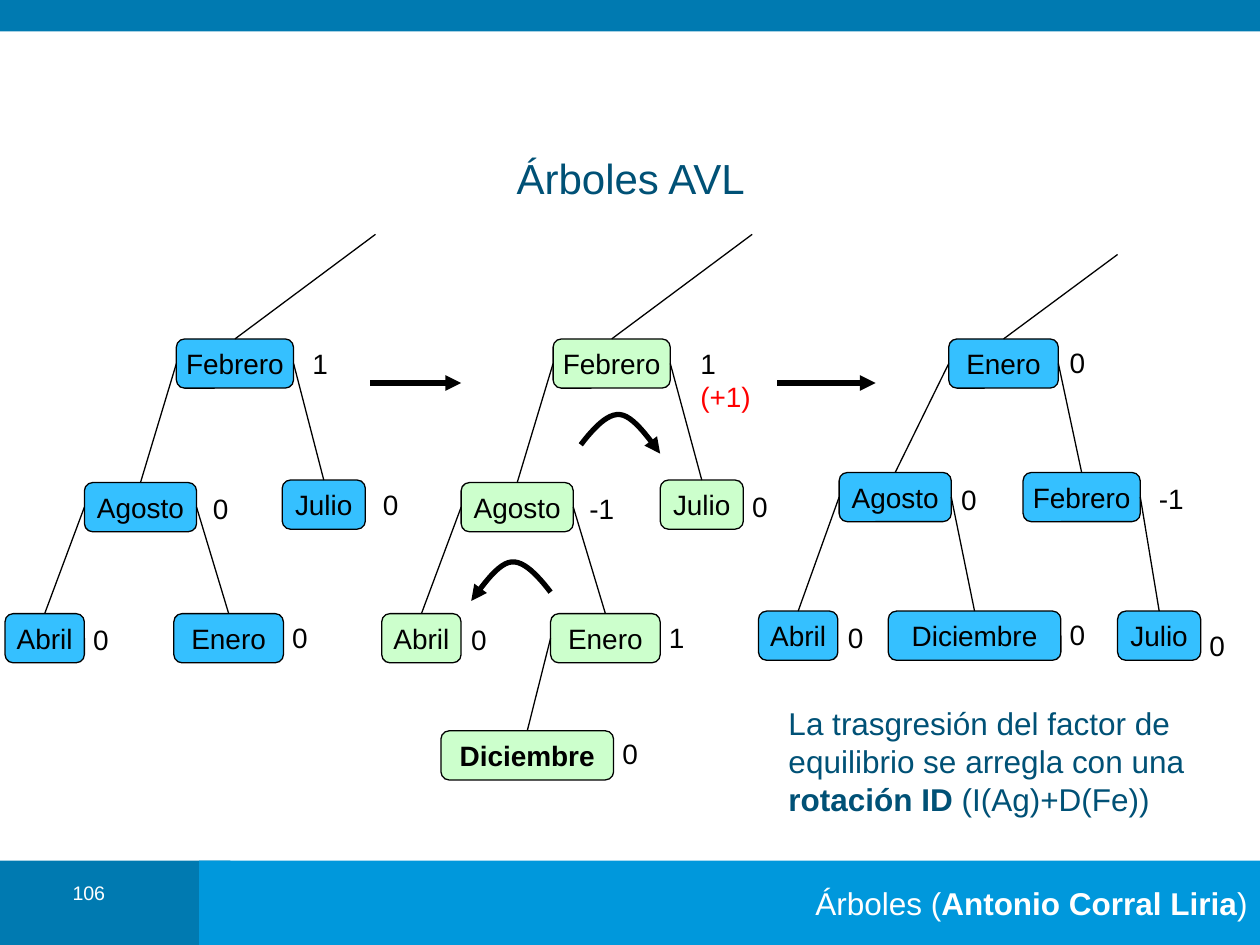
from pptx import Presentation
from pptx import util as u
from pptx.dml.color import RGBColor
from pptx.enum import shapes, text
from pptx.oxml.ns import qn
from lxml import etree

THEME = {
    "font": "Arial", "dark": "007AB1", "bright": "0098DC", "ink": "005176",
    "node": "35C0FF", "changed": "CCFFCC", "black": "000000",
    "white": "FFFFFF", "alert": "FF0000",
    "title": 24, "body": 18, "label": 16, "number": 11.2, "thin": 0.75, "thick": 3,
}

presentation = Presentation()
presentation.slide_width, presentation.slide_height = u.Inches(10), u.Inches(7.5)
CELL = presentation.slide_width / 100  # square grid: 100 columns by 75 rows
slide = presentation.slides.add_slide(presentation.slide_layouts[5])


def write(shape, runs, size, align=text.PP_ALIGN.LEFT, anchor=text.MSO_ANCHOR.TOP, wrap=True):
    """Fill a shape with one paragraph of (wording, colour, bold) runs."""
    frame = shape.text_frame
    frame.auto_size = text.MSO_AUTO_SIZE.NONE
    frame.word_wrap = wrap
    frame.vertical_anchor = anchor
    paragraph = frame.paragraphs[0]
    paragraph.alignment = align
    for wording, color, bold in runs:
        run = paragraph.add_run()
        run.text = wording
        run.font.name, run.font.size, run.font.bold = THEME["font"], u.Pt(size), bold
        run.font.color.rgb = RGBColor.from_string(THEME[color])
    return paragraph


def stroke(shape, width, arrow=False):
    """Give a black outline without shadow, with an optional arrowhead."""
    shape.line.color.rgb = RGBColor.from_string(THEME["black"])
    shape.line.width = u.Pt(THEME[width])
    properties = shape._element.spPr
    if arrow:
        etree.SubElement(properties.find(qn("a:ln")), qn("a:tailEnd"), type="triangle")
    if properties.find(qn("a:effectLst")) is None:
        etree.SubElement(properties, qn("a:effectLst"))


# Bands, footer and page number
bands = []
for box, color in [((0, 68.3, 18.3, 6.7), "dark"), ((15.8, 68.3, 84.2, 6.7), "bright"),
                   ((0, 0, 100, 2.5), "dark")]:
    band = slide.shapes.add_shape(shapes.MSO_SHAPE.RECTANGLE, *[int(v * CELL) for v in box])
    band.shadow.inherit = False
    band.fill.solid()
    band.fill.fore_color.rgb = RGBColor.from_string(THEME[color])
    band.line.fill.background()
    bands.append(band)
write(bands[1], [("Árboles (", "white", False), ("Antonio Corral Liria", "white", True),
                 (")", "white", False)],
      THEME["body"], text.PP_ALIGN.RIGHT, text.MSO_ANCHOR.MIDDLE, False)
bands[0]._element.addnext(bands[1]._element)

number = slide.shapes.add_textbox(*[int(v * CELL) for v in (3.5, 69.8, 7.1, 3.2)])
write(number, [("106", "white", False)], THEME["number"], text.PP_ALIGN.CENTER).line_spacing = 0.8

title = slide.shapes.title
title.left, title.top, title.width, title.height = [int(v * CELL) for v in (8.3, 12, 83.5, 4.2)]
frame = title.text_frame
frame.margin_left = frame.margin_right = frame.margin_top = frame.margin_bottom = 0
write(title, [("Árboles AVL", "ink", False)], THEME["title"],
      text.PP_ALIGN.CENTER, text.MSO_ANCHOR.MIDDLE)

# Trees: fill, and the far end of the line that leads to the root
TREES = [("node", 29.8, 18.6), ("changed", 59.7, 18.6), ("node", 88.7, 20.2)]
NODE_WIDTHS = {"Enero": 8.7, "Febrero": 9.3, "Julio": 6.6, "Agosto": 8.9,
               "Abril": 6.3, "Diciembre": 13.7}
NODE_HEIGHT = 3.9
LEFT, RIGHT = 1, 3
# tree, month, left, top, balance, label left, label top, parent, side of the parent
NODES = [
    (0, "Febrero", 14, 26.9, "1", 23.8, 27, None, None),
    (0, "Agosto", 6.7, 38.3, "0", 15.9, 38.5, "Febrero", LEFT),
    (0, "Julio", 22.4, 38.1, "0", 29.4, 38.2, "Febrero", RIGHT),
    (0, "Abril", 0.4, 48.7, "0", 6.4, 48.9, "Agosto", LEFT),
    (0, "Enero", 13.8, 48.7, "0", 22.2, 48.8, "Agosto", RIGHT),
    (1, "Febrero", 43.9, 26.9, "1 (+1)", 54.6, 27, None, None),
    (1, "Agosto", 36.6, 38.3, "-1", 45.8, 38.5, "Febrero", LEFT),
    (1, "Julio", 52.4, 38.1, "0", 58.7, 38.4, "Febrero", RIGHT),
    (1, "Abril", 30.3, 48.7, "0", 36.4, 48.9, "Agosto", LEFT),
    (1, "Enero", 43.7, 48.7, "1", 52.1, 48.8, "Agosto", RIGHT),
    (1, "Diciembre", 35, 58, "0", 48.4, 58, "Enero", LEFT),
    (2, "Enero", 75.3, 26.9, "0", 83.9, 26.9, None, None),
    (2, "Agosto", 66.6, 37.5, "0", 75.3, 37.8, "Enero", LEFT),
    (2, "Febrero", 81.2, 37.5, "-1", 91, 37.7, "Enero", RIGHT),
    (2, "Abril", 60.2, 48.5, "0", 66.3, 48.8, "Agosto", LEFT),
    (2, "Diciembre", 70.5, 48.5, "0", 83.9, 48.5, "Agosto", RIGHT),
    (2, "Julio", 88.7, 48.5, "0", 95, 49.4, "Febrero", RIGHT),
]
LABEL_WIDTHS = {"-1": 4, "1 (+1)": 7.7}
nodes = {}
for tree, month, left, top, balance, label_left, label_top, parent, side in NODES:
    fill, lead_x, lead_y = TREES[tree]
    node = slide.shapes.add_shape(
        shapes.MSO_SHAPE.ROUNDED_RECTANGLE,
        *[int(v * CELL) for v in (left, top, NODE_WIDTHS[month], NODE_HEIGHT)])
    node.shadow.inherit = False
    node.fill.solid()
    node.fill.fore_color.rgb = RGBColor.from_string(THEME[fill])
    stroke(node, "thin")
    inserted = (tree, month) == (1, "Diciembre")
    write(node, [(month, "black", inserted)], THEME["label"],
          text.PP_ALIGN.CENTER, text.MSO_ANCHOR.MIDDLE, False)
    nodes[tree, month] = node

    edge = slide.shapes.add_connector(shapes.MSO_CONNECTOR.STRAIGHT,
                                      int(lead_x * CELL), int(lead_y * CELL), 0, 0)
    if parent:
        edge.begin_connect(nodes[tree, parent], side)
    edge.end_connect(node, 0)
    stroke(edge, "thin")

    label = slide.shapes.add_textbox(
        *[int(v * CELL) for v in (label_left, label_top, LABEL_WIDTHS.get(balance, 3.2), 3.7)])
    factor, space, change = balance.partition(" ")
    runs = [(factor + space, "black", False)]
    if change:
        runs.append((change, "alert", False))
    write(label, runs, THEME["label"], wrap=bool(change))

# Steps from one tree to the next
for start, end in [(29.4, 36.6), (61.7, 69.5)]:
    step = slide.shapes.add_connector(shapes.MSO_CONNECTOR.STRAIGHT,
                                      *[int(v * CELL) for v in (start, 30.4, end, 30.4)])
    stroke(step, "thick", arrow=True)

# Rotation arrows: two Bézier pieces, mirrored for the left rotation
ARC = [[(0, 2.5), (1, 1.2), (2.1, 0), (3.1, 0.1)], [(3.1, 0.1), (4.1, 0.2), (5.2, 1.7), (6.3, 3.2)]]
STEPS = 12
arc_points = []
for piece in ARC:
    for i in range(STEPS + 1):
        t = i / STEPS
        weights = ((1 - t) ** 3, 3 * t * (1 - t) ** 2, 3 * t * t * (1 - t), t ** 3)
        arc_points.append([sum(w * p[axis] for w, p in zip(weights, piece)) for axis in (0, 1)])
for start_x, top, direction in [(46.1, 32.8, 1), (43.7, 44.5, -1)]:
    points = [(int((start_x + direction * x) * CELL), int((top + y) * CELL)) for x, y in arc_points]
    builder = slide.shapes.build_freeform(*points[0])
    builder.add_line_segments(points[1:], close=False)
    rotation = builder.convert_to_shape()
    rotation.fill.background()
    stroke(rotation, "thick", arrow=True)

remark = slide.shapes.add_textbox(*[int(v * CELL) for v in (61.6, 55.4, 35.6, 10)])
write(remark, [("La trasgresión del factor de equilibrio se arregla con una ", "ink", False),
               ("rotación ID", "ink", True), (" (I(Ag)+D(Fe))", "ink", False)], THEME["body"])

presentation.save("out.pptx")
